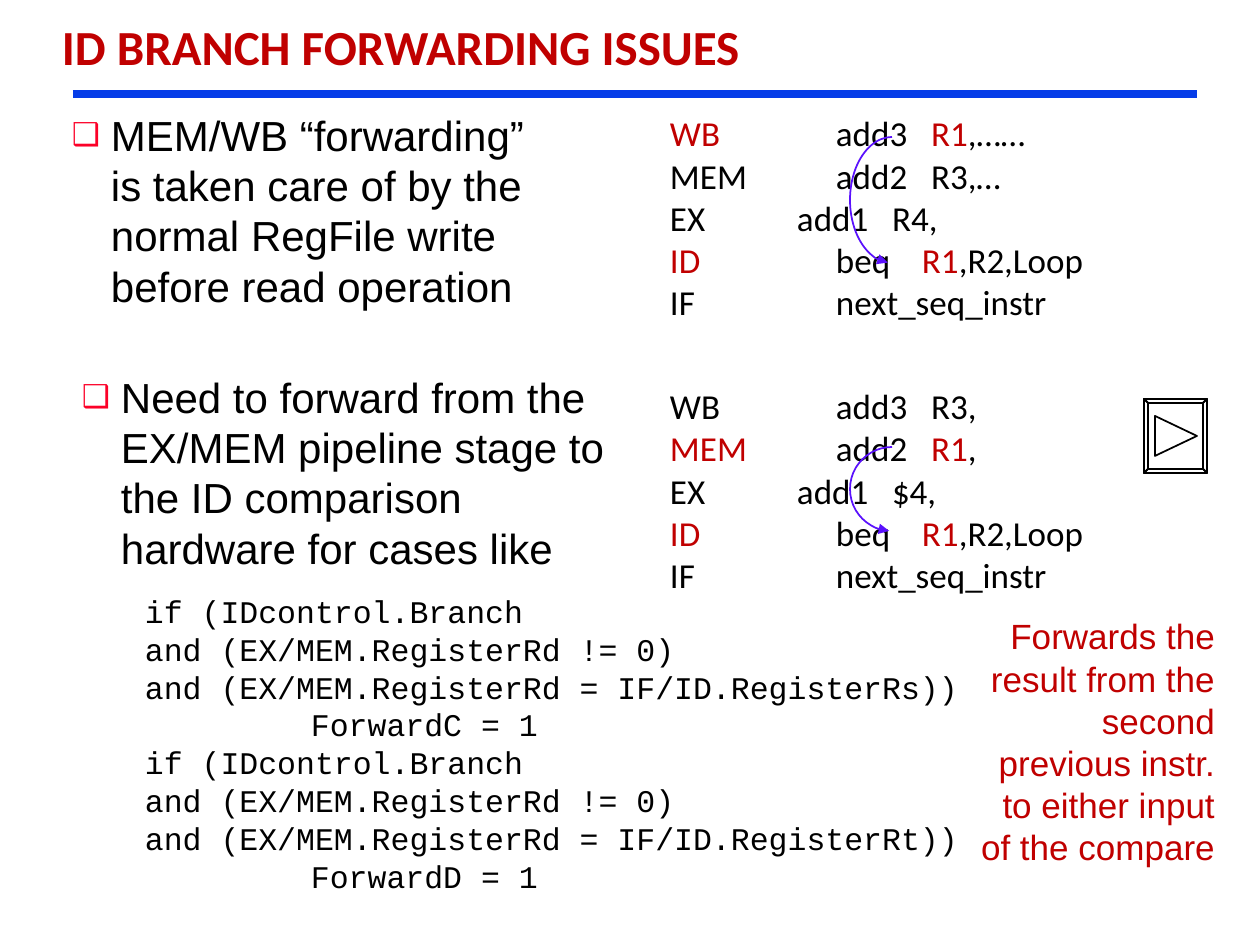
from lxml import etree
from pptx import Presentation
from pptx.dml.color import RGBColor
from pptx.enum.shapes import MSO_CONNECTOR
from pptx.enum.text import MSO_ANCHOR, MSO_AUTO_SIZE, PP_ALIGN
from pptx.oxml.ns import qn
from pptx.util import Pt

STRAIGHT = MSO_CONNECTOR.STRAIGHT
TOP = MSO_ANCHOR.TOP
NO_AUTOFIT = MSO_AUTO_SIZE.NONE
LEFT, RIGHT = PP_ALIGN.LEFT, PP_ALIGN.RIGHT

BLACK = RGBColor(0x00, 0x00, 0x00)
RED = RGBColor(0xC0, 0x00, 0x00)
BULLET_RED = RGBColor(0xFC, 0x01, 0x28)
RULE_BLUE = RGBColor(0x06, 0x3D, 0xE8)
ARROW_VIOLET = RGBColor(0x5A, 0x11, 0xFD)

EMU_PER_PX = 914400 / 126
LEADING = 1.2


def px(length):
    return round(length * EMU_PER_PX)


def add_xml(parent, tag, **attributes):
    values = {name: str(value) for name, value in attributes.items()}
    return etree.SubElement(parent, qn(tag), values)


def write_paragraph(paragraph, pieces, size=20, font="Calibri", color=BLACK,
                    bold=False, align=LEFT, spacing=None, indent=0, hanging=0,
                    bullet=None):
    """Fill a paragraph from strings or (string, colour) pairs."""
    paragraph.alignment = align
    paragraph.line_spacing = spacing or Pt(size * LEADING)
    paragraph.space_before = Pt(0)
    for piece in pieces:
        text, shade = (piece, color) if isinstance(piece, str) else piece
        run = paragraph.add_run()
        run.text = text
        run.font.size = Pt(size)
        run.font.name = font
        run.font.bold = bold
        run.font.color.rgb = shade
    properties = paragraph._p.get_or_add_pPr()
    properties.set("marL", str(px(indent)))
    properties.set("indent", str(px(-hanging)))
    if bullet:
        bullet_color = add_xml(properties, "a:buClr")
        add_xml(bullet_color, "a:srgbClr", val=BULLET_RED)
        add_xml(properties, "a:buSzPct", val=75000)
        add_xml(properties, "a:buFont", typeface=font)
        add_xml(properties, "a:buChar", char=bullet)
    else:
        add_xml(properties, "a:buNone")


class SlideBuilder:
    def __init__(self, presentation):
        self.slide = presentation.slides.add_slide(presentation.slide_layouts[1])
        self.shapes = self.slide.shapes

    def fill_text(self, shape, box, paragraphs, inset=(9, 4), **common):
        """Place a text shape and write (pieces, own format) paragraphs."""
        shape.left, shape.top, shape.width, shape.height = map(px, box)
        frame = shape.text_frame
        frame.word_wrap = True
        frame.auto_size = NO_AUTOFIT
        frame.vertical_anchor = TOP
        frame.margin_left = frame.margin_right = px(inset[0])
        frame.margin_top = frame.margin_bottom = px(inset[1])
        for index, (pieces, own) in enumerate(paragraphs):
            paragraph = frame.add_paragraph() if index else frame.paragraphs[0]
            write_paragraph(paragraph, pieces, **{**common, **own})

    def title(self, text, box):
        self.fill_text(self.shapes.title, box, [([text], {})],
                       size=28, color=RED, bold=True, spacing=0.87)

    def bullet_point(self, text, box, placeholder=None):
        shape = placeholder or self.shapes.add_textbox(0, 0, 0, 0)
        self.fill_text(shape, box, [([text], {})], size=24, font="Arial",
                       indent=39, hanging=39, bullet="❑")

    def text(self, box, paragraphs, **style):
        self.fill_text(self.shapes.add_textbox(0, 0, 0, 0), box, paragraphs, **style)

    def rule(self, left, right, y):
        line = self.shapes.add_connector(STRAIGHT, px(left), px(y), px(right), px(y))
        line.line.color.rgb = RULE_BLUE
        line.line.width = Pt(4.5)
        add_xml(line._element.spPr, "a:effectLst")

    def outline(self, contours, color, closed=True):
        """Draw unfilled contours as one freeform."""
        builder = self.shapes.build_freeform(*contours[0][0], scale=EMU_PER_PX)
        for index, (start, *others) in enumerate(contours):
            if index:
                builder.move_to(*start)
            builder.add_line_segments(others, close=closed)
        shape = builder.convert_to_shape()
        shape.shadow.inherit = False
        shape.fill.background()
        shape.line.color.rgb = color
        shape.line.width = Pt(1)
        return shape

    def forwarding_arrow(self, left, top, width, height):
        """Draw a left half-ellipse, in the path's px units, with an arrowhead."""
        right, middle, bottom = left + width, top + height // 2, top + height
        corners = [(right, top), (left, middle), (right, bottom)]
        shape = self.outline([corners], ARROW_VIOLET, closed=False)
        curve = next(shape._element.iter(qn("a:path")))
        for segment in curve.findall(qn("a:lnTo")):
            curve.remove(segment)
        add_xml(curve, "a:arcTo", wR=width, hR=height // 2,
                stAng=270 * 60000, swAng=-176 * 60000)
        add_xml(shape.line._get_or_add_ln(), "a:tailEnd", type="triangle")

    def next_button(self, left, top, right, bottom, bevel):
        outer = [(left, top), (right, top), (right, bottom), (left, bottom)]
        inner = [(left + bevel, top + bevel), (right - bevel, top + bevel),
                 (right - bevel, bottom - bevel), (left + bevel, bottom - bevel)]
        sides = [[outer[i - 1], outer[i], inner[i], inner[i - 1]] for i in range(4)]
        triangle = [(1155, 416), (1197, 436), (1155, 456)]
        self.outline([outer, *sides, triangle], BLACK)


def pipeline(write_back, memory, execute):
    """Complete the five stages; the hanging indent sets the instruction column."""
    decode = [("ID\t", RED), "beq    ", ("R1", RED), ",R2,Loop"]
    fetch = ["IF\tnext_seq_instr"]
    columns = [166, 166, 127, 166, 166]
    stages = [write_back, memory, execute, decode, fetch]
    return [(pieces, {"indent": column, "hanging": column})
            for pieces, column in zip(stages, columns)]


def forward_rule(source, signal):
    conditions = ["if (IDcontrol.Branch",
                  "and (EX/MEM.RegisterRd != 0)",
                  f"and (EX/MEM.RegisterRd = IF/ID.Register{source}))"]
    return [([line], {}) for line in conditions] + [([f"{signal} = 1"], {"indent": 166})]


def main():
    presentation = Presentation()
    presentation.slide_width, presentation.slide_height = px(1260), px(945)
    page = SlideBuilder(presentation)

    page.rule(73, 1197, 94)
    page.title("ID BRANCH FORWARDING ISSUES", (53, 21, 976, 58))
    page.bullet_point("MEM/WB “forwarding” is taken care of by the normal RegFile "
                      "write before read operation",
                      (63, 105, 494, 209), page.slide.placeholders[1])
    page.bullet_point("Need to forward from the EX/MEM pipeline stage to the ID "
                      "comparison hardware for cases like", (73, 367, 557, 209))

    page.text((661, 108, 536, 217), pipeline(
        [("WB\t", RED), "add3   ", ("R1", RED), ",……"],
        ["MEM\tadd2   R3,…"],
        ["EX\tadd1   R4,"]))
    page.text((661, 381, 536, 217), pipeline(
        ["WB\tadd3   R3,"],
        [("MEM\t", RED), "add2   ", ("R1", RED), ","],
        ["EX\tadd1   $4,"]))

    page.text((136, 588, 892, 310),
              forward_rule("Rs", "ForwardC") + forward_rule("Rt", "ForwardD"),
              size=18, font="Courier New")
    page.text((955, 609, 273, 265),
              [(["Forwards the result from the second previous instr. "
                 "to either input of the compare"], {})],
              inset=(13, 6), font="Arial", color=RED, align=RIGHT)

    page.next_button(1144, 399, 1207, 473, bevel=4)
    page.forwarding_arrow(850, 137, 42, 126)
    page.forwarding_arrow(850, 447, 42, 84)

    presentation.save("out.pptx")


if __name__ == "__main__":
    main()
